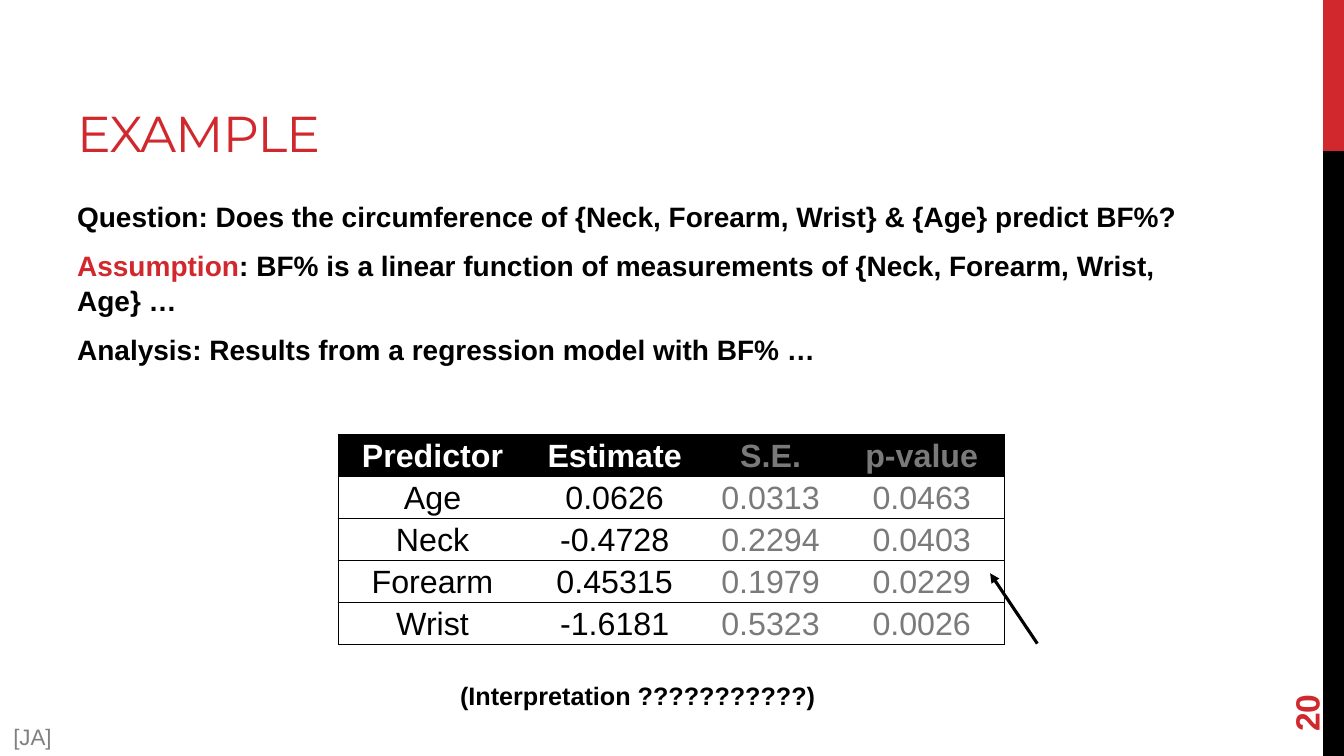
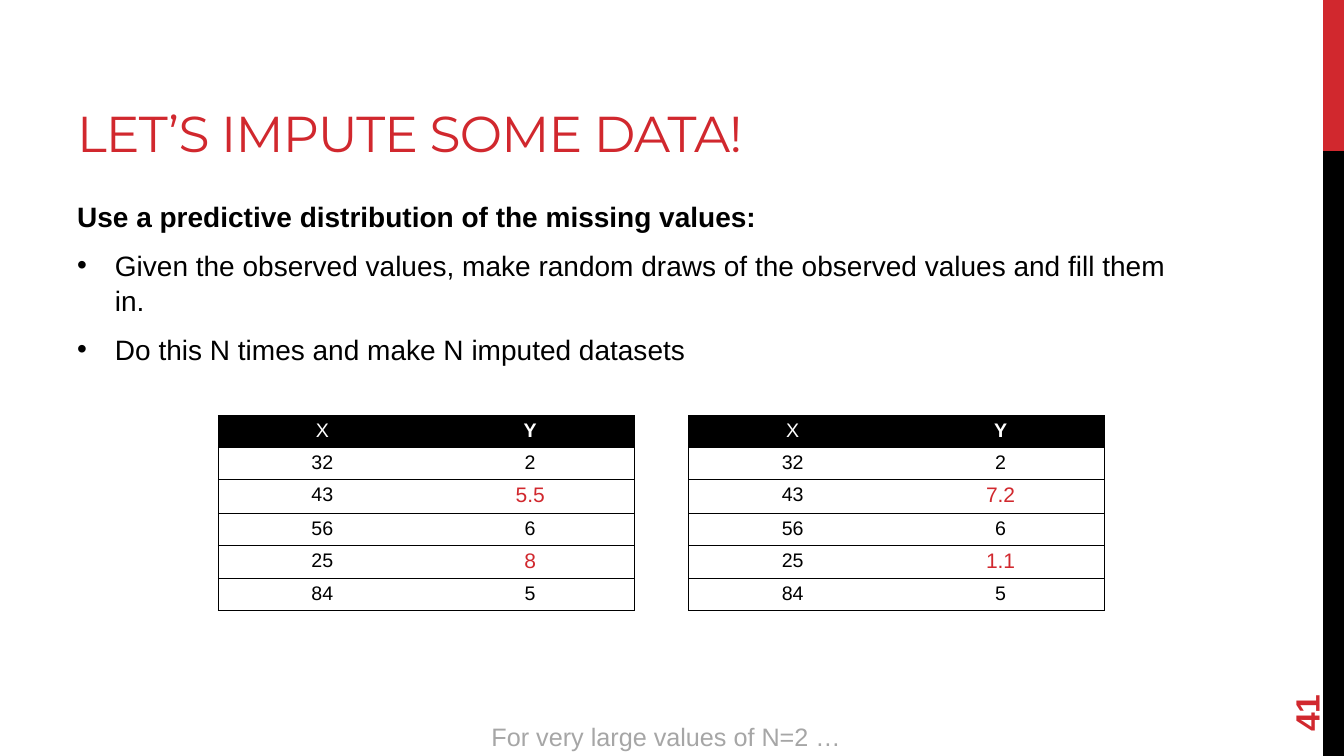
from lxml.etree import SubElement
from pptx import Presentation
from pptx.dml.color import RGBColor as RGB
from pptx.enum.shapes import MSO_CONNECTOR as LINE, MSO_SHAPE as SHAPE
from pptx.enum.text import MSO_ANCHOR as ANCHOR, PP_ALIGN as ALIGN
from pptx.oxml.ns import qn
from pptx.util import Pt

RED = RGB(0xD1, 0x28, 0x2E)
BLACK = RGB(0, 0, 0)
WHITE = RGB(0xFF, 0xFF, 0xFF)
DIM = RGB(0x7A, 0x7A, 0x7A)
GREY = RGB(0x80, 0x80, 0x80)
PALE = RGB(0xA6, 0xA6, 0xA6)
SCALE = 9525  # EMU in one px
WIDE, HIGH = 1280, 720


def px(*sizes):
    return [size * SCALE for size in sizes]


def style(font, size, color, bold=False, face="Arial"):
    font.name, font.size, font.bold = face, Pt(size), bold
    font.color.rgb = color


def label(slide, box, text, size, color, bold=False, face="Arial",
          align=ALIGN.LEFT, anchor=ANCHOR.TOP):
    """One line of text in a box."""
    shape = slide.shapes.add_textbox(*px(*box))
    frame = shape.text_frame
    frame.word_wrap = True
    frame.vertical_anchor = anchor
    para = frame.paragraphs[0]
    para.text = text
    para.alignment = align
    style(para.runs[0].font, size, color, bold, face)
    return shape


def base(deck, title, number):
    """Blank slide with side bands, title and page number."""
    slide = deck.slides.add_slide(deck.slide_layouts[6])
    for top, tall, color in ((0, 144, RED), (144, 576, BLACK)):
        band = slide.shapes.add_shape(SHAPE.RECTANGLE, *px(WIDE - 20, top, 20, tall))
        band.shadow.inherit = False
        band.fill.solid()
        band.fill.fore_color.rgb = color
        band.line.fill.background()
    head = label(slide, (64, 16, 810, 144), title, 36, RED,
                 face="Montserrat", anchor=ANCHOR.BOTTOM)
    head.text_frame.paragraphs[0].runs[0].font._element.set("spc", "-60")
    page = label(slide, (1175, 612, 138, 51), str(number), 24, RED, True,
                 anchor=ANCHOR.MIDDLE)
    page.rotation = 270
    return slide


def body(slide, box, items):
    """Paragraphs, each given as (bullet, bold, [(text, color), ...])."""
    frame = slide.shapes.add_textbox(*px(*box)).text_frame
    frame.word_wrap = True
    for i, (bullet, bold, parts) in enumerate(items):
        para = frame.paragraphs[0] if i == 0 else frame.add_paragraph()
        para.line_spacing = 1.04
        para.space_before = Pt(4 if i else 0)
        para.space_after = Pt(6)
        if bullet:
            props = para._p.get_or_add_pPr()
            indent = 36 * SCALE
            props.set("marL", str(indent))
            props.set("indent", str(-indent))
            SubElement(props, qn("a:buFont"), typeface="Arial")
            SubElement(props, qn("a:buChar"), char="•")
        for text, color in parts:
            run = para.add_run()
            run.text = text
            style(run.font, 20, color, bold)


def edge(cell, side, shown):
    line = SubElement(cell._tc.get_or_add_tcPr(), qn("a:ln" + side), w=str(Pt(1)))
    if shown:
        fill = SubElement(line, qn("a:solidFill"))
        SubElement(fill, qn("a:srgbClr"), val=str(BLACK))
    else:
        SubElement(line, qn("a:noFill"))


def grid(slide, spot, cols, rows, data, look, pads, anchor=ANCHOR.TOP):
    """Ruled table with a black head; look(row, col) gives size, color, bold."""
    shape = slide.shapes.add_table(len(rows), len(cols),
                                   *px(*spot, sum(cols), sum(rows)))
    table = shape.table
    table.horz_banding = False
    for col, wide in zip(table.columns, px(*cols)):
        col.width = wide
    for row, tall in zip(table.rows, px(*rows)):
        row.height = tall
    for r, line in enumerate(data):
        for c, text in enumerate(line):
            cell = table.cell(r, c)
            (cell.margin_left, cell.margin_top,
             cell.margin_right, cell.margin_bottom) = px(*pads)
            cell.vertical_anchor = anchor
            for side, shown in (("L", c == 0), ("R", c == len(cols) - 1),
                                ("T", True), ("B", True)):
                edge(cell, side, shown)
            cell.fill.solid()
            cell.fill.fore_color.rgb = WHITE if r else BLACK
            para = cell.text_frame.paragraphs[0]
            para.text = text
            para.alignment = ALIGN.CENTER
            style(para.runs[0].font, *look(r, c))


def arrow(slide, start, end):
    line = slide.shapes.add_connector(LINE.STRAIGHT, *px(*start, *end))
    line.line.color.rgb = BLACK
    line.line.width = Pt(2.25)
    SubElement(line.line._get_or_add_ln(), qn("a:tailEnd"), type="triangle")
    SubElement(line._element.spPr, qn("a:effectLst"))


def model(deck):
    """Regression results."""
    slide = base(deck, "EXAMPLE", 20)
    body(slide, (64, 184, 1067, 459), [
        (False, True, [("Question: Does the circumference of {Neck, Forearm, Wrist}"
                        " & {Age} predict BF%?", BLACK)]),
        (False, True, [("Assumption", RED),
                       (": BF% is a linear function of measurements of"
                        " {Neck, Forearm, Wrist, Age} …", BLACK)]),
        (False, True, [("Analysis: Results from a regression model with BF% …", BLACK)]),
    ])
    data = [
        ("Predictor", "Estimate", "S.E.", "p-value"),
        ("Age", "0.0626", "0.0313", "0.0463"),
        ("Neck", "-0.4728", "0.2294", "0.0403"),
        ("Forearm", "0.45315", "0.1979", "0.0229"),
        ("Wrist", "-1.6181", "0.5323", "0.0026"),
    ]

    def look(r, c):
        return 23, DIM if c > 1 else BLACK if r else WHITE, r == 0

    grid(slide, (322, 414), (180, 167, 130, 158), [40] * len(data), data, look,
         (2, 2, 2, 0), ANCHOR.MIDDLE)
    label(slide, (350, 643, 515, 38), "(Interpretation ???????????)", 18, BLACK, True,
          align=ALIGN.CENTER)
    label(slide, (0, 684, 62, 36), "[JA]", 16, GREY, align=ALIGN.CENTER)
    arrow(slide, (988, 613), (943, 546))


def impute(deck):
    """Two imputed data sets side by side."""
    slide = base(deck, "LET’S IMPUTE SOME DATA!", 41)
    body(slide, (64, 184, 1067, 459), [
        (False, True, [("Use a predictive distribution of the missing values:", BLACK)]),
        (True, False, [("Given the observed values, make random draws of the"
                        " observed values and fill them in.", BLACK)]),
        (True, False, [("Do this N times and make N imputed datasets", BLACK)]),
    ])
    drawn = (2, 4)  # rows whose Y is imputed

    def look(r, c):
        if c == 1 and r in drawn:
            return 15, RED, False
        return 14, BLACK if r else WHITE, r == 0 and c == 1

    rows = [31 if r in drawn else 29 for r in range(6)]
    for left, first, second in ((208, "5.5", "8"), (656, "7.2", "1.1")):
        data = [("X", "Y"), ("32", "2"), ("43", first),
                ("56", "6"), ("25", second), ("84", "5")]
        grid(slide, (left, 396), (198, 198), rows, data, look, (7, 4, 7, 4))
    label(slide, (449, 682, 371, 38), "For very large values of N=2 …", 18, PALE,
          align=ALIGN.CENTER)


def main():
    deck = Presentation()
    deck.slide_width, deck.slide_height = px(WIDE, HIGH)
    model(deck)
    impute(deck)
    deck.save("out.pptx")


if __name__ == "__main__":
    main()
